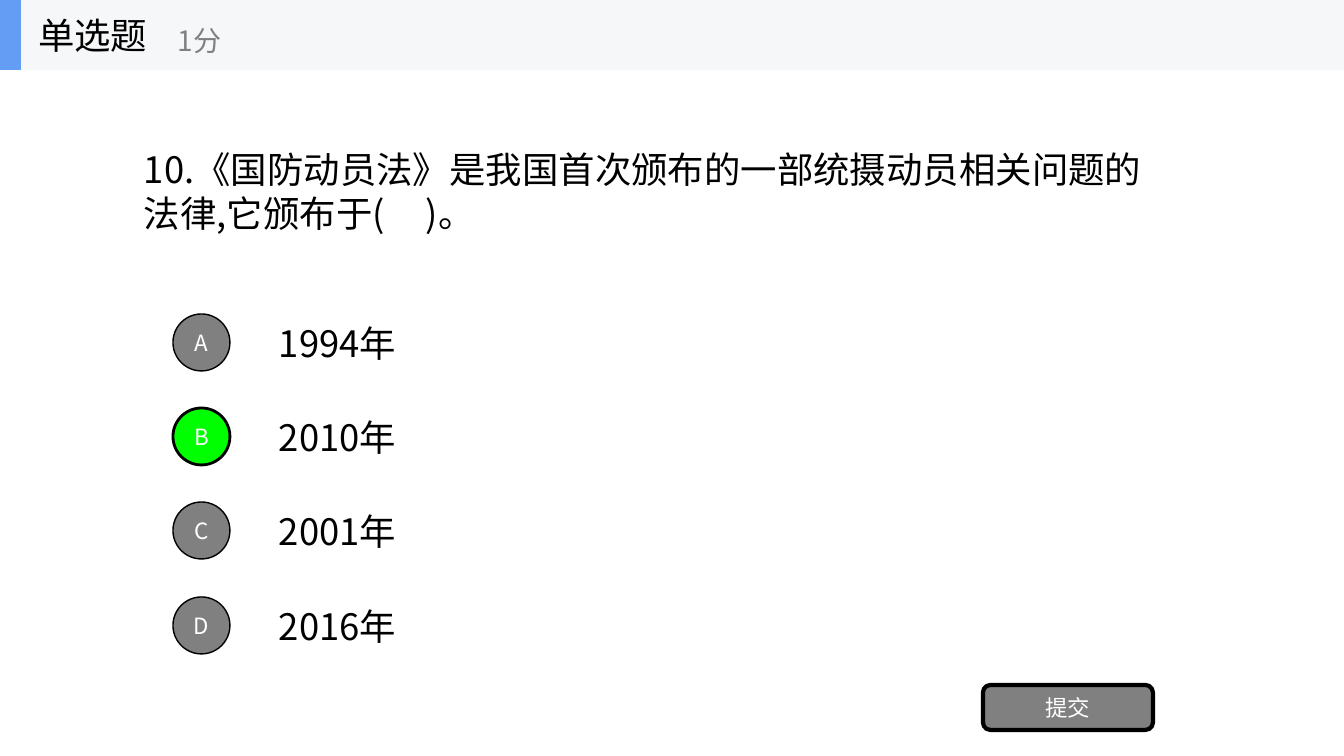
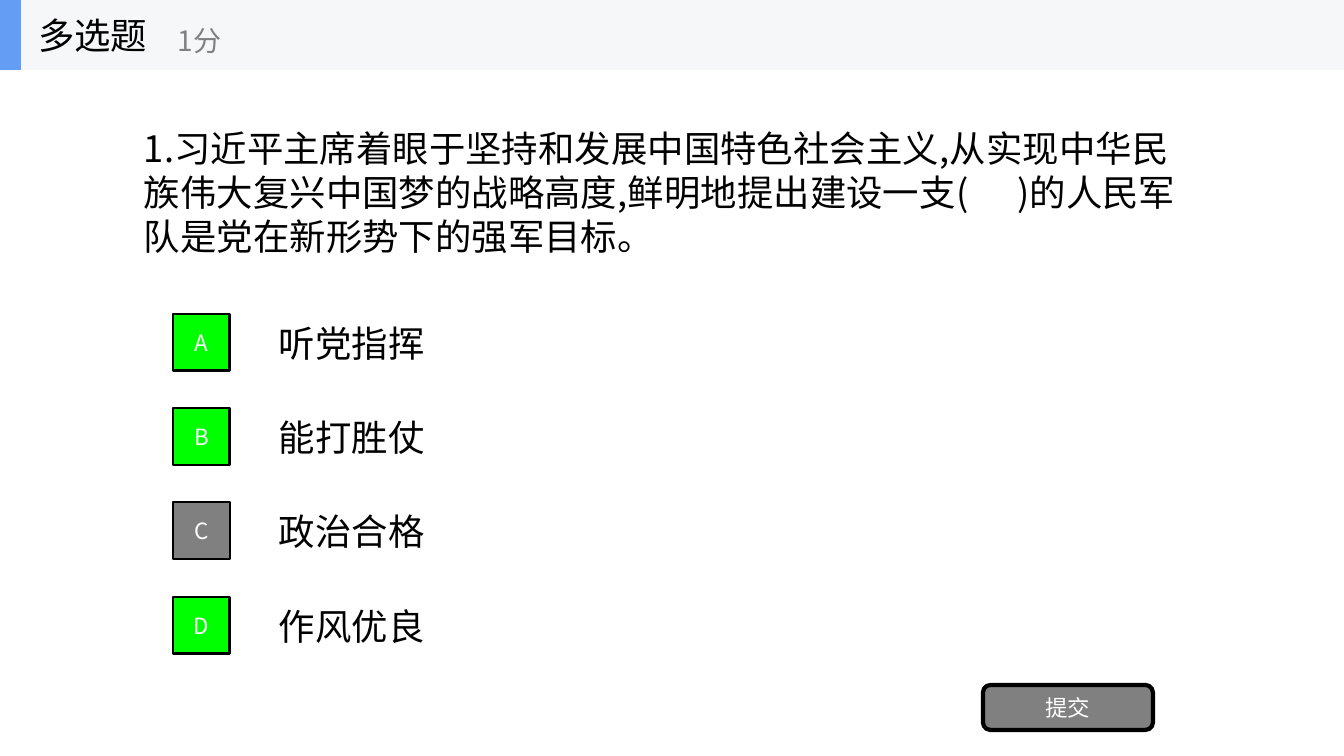
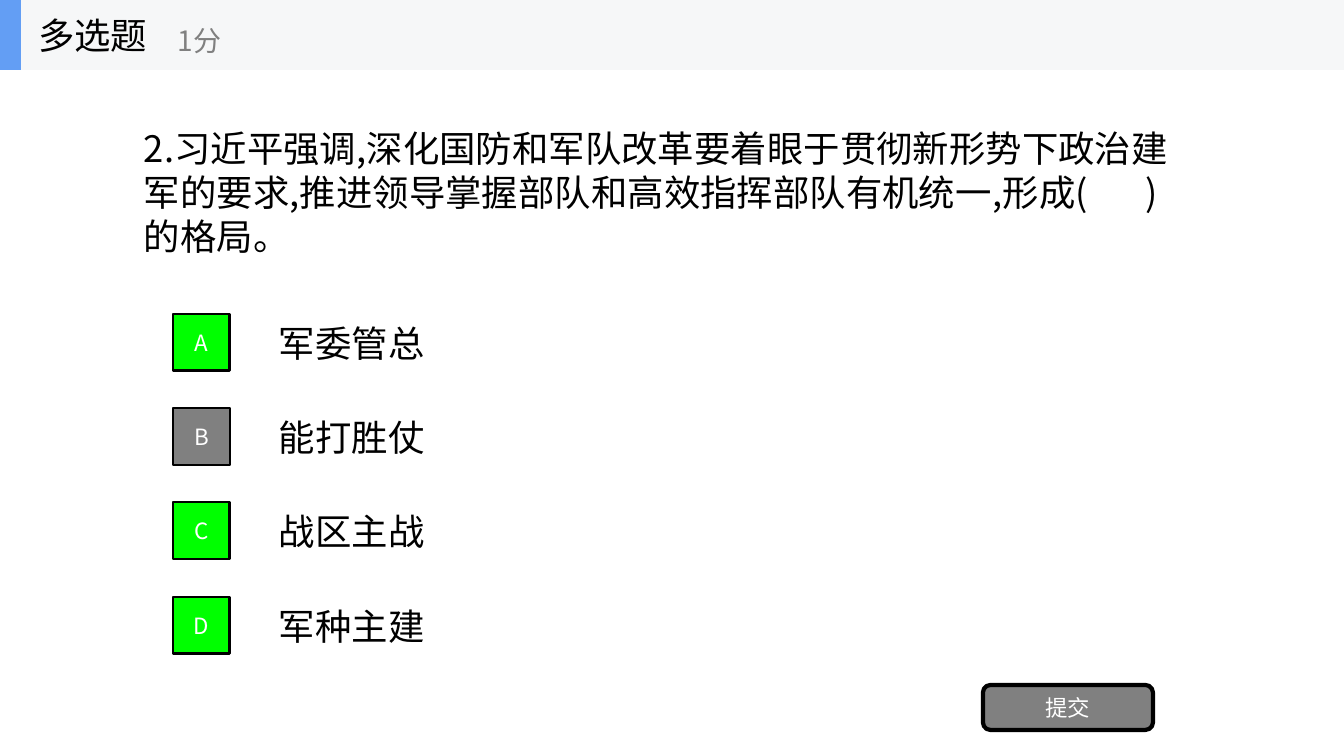
from lxml.etree import SubElement
from pptx import Presentation
from pptx.dml.color import RGBColor
from pptx.enum.shapes import MSO_SHAPE as Shape
from pptx.enum.text import MSO_ANCHOR as Anchor, MSO_AUTO_SIZE as Fit, PP_ALIGN as Align
from pptx.oxml.ns import qn
from pptx.util import Pt

SCALE = 914400 / 100.8
FONT = "Noto Sans CJK SC"
BLACK, WHITE, GREY = "000000", "FFFFFF", "808080"
GREEN, BLUE, PALE = "00FF00", "639EF4", "F6F7F8"
NB = "\u00a0"

QUIZ = [
    dict(kind="单选题", mark=Shape.OVAL, right="B", box=(134, 139, 1054, 98), wide=153,
         ask=f"10.《国防动员法》是我国首次颁布的一部统摄动员相关问题的法律,它颁布于( {NB * 3} )。",
         picks=["1994年", "2010年", "2001年", "2016年"]),
    dict(kind="多选题", mark=Shape.RECTANGLE, right="ABD", box=(134, 118, 1064, 141), wide=176,
         ask="1.习近平主席着眼于坚持和发展中国特色社会主义,从实现中华民族伟大复兴中国梦的战略高度,"
             f"鲜明地提出建设一支({NB * 2}  {NB * 2})的人民军队是党在新形势下的强军目标。",
         picks=["听党指挥", "能打胜仗", "政治合格", "作风优良"]),
    dict(kind="多选题", mark=Shape.RECTANGLE, right="ACD", box=(134, 118, 1047, 141), wide=176,
         ask="2.习近平强调,深化国防和军队改革要着眼于贯彻新形势下政治建军的要求,"
             f"推进领导掌握部队和高效指挥部队有机统一,形成({NB * 2} {NB * 3} )的格局。",
         picks=["军委管总", "能打胜仗", "战区主战", "军种主建"]),
]


def px(*sizes):
    """Turn pixels into a list of EMU lengths."""
    return [round(size * SCALE) for size in sizes]


def paint(fmt, tone):
    """Give a fill or a line a solid colour."""
    fmt.solid()
    fmt.fore_color.rgb = RGBColor.from_string(tone)


def write(shape, text, size, tone=BLACK, align=Align.LEFT, pitch=None):
    """Set and format the text of a shape."""
    frame = shape.text_frame
    frame.text = text
    frame.word_wrap = True
    frame.auto_size = Fit.NONE
    frame.vertical_anchor = Anchor.MIDDLE
    para = frame.paragraphs[0]
    para.alignment = align
    if pitch:
        para.line_spacing = Pt(pitch)
    for run in para.runs:
        font = run.font
        font.size = Pt(size)
        font.name = FONT
        paint(font.fill, tone)
        SubElement(font._element, qn("a:ea"), typeface=FONT)


def label(slide, box, text, size, tone=BLACK, pitch=None):
    """Add a text box."""
    write(slide.shapes.add_textbox(*px(*box)), text, size, tone, pitch=pitch)


def block(slide, kind, box, fill, line=0, text=""):
    """Add a filled shape, with an outline and a caption if given."""
    shape = slide.shapes.add_shape(kind, *px(*box))
    shape.shadow.inherit = False
    paint(shape.fill, fill)
    if line:
        shape.line.width = Pt(line)
        paint(shape.line.fill, BLACK)
    else:
        shape.line.fill.background()
    if text:
        write(shape, text, 16, WHITE, Align.CENTER)
    return shape


def header(slide, kind):
    """Draw the top band with the title and the score."""
    title = slide.shapes.title
    for wide, tone in ((1344, PALE), (21, BLUE)):
        band = block(slide, Shape.RECTANGLE, (0, 0, wide, 70), tone)
        title.element.addprevious(band.element)
    title.left, title.top, title.width, title.height = px(28, 0, 210, 70)
    write(title, kind, 26)
    label(slide, (168, 12, 252, 56), "1分", 20, GREY)


def choices(slide, quiz):
    """Draw the lettered options, with the right ones in green."""
    for row, (mark, text) in enumerate(zip("ABCD", quiz["picks"])):
        top = 314 + 283 * row // 3
        fill, line = (GREEN, 2) if mark in quiz["right"] else (GREY, 1)
        block(slide, quiz["mark"], (173, top, 57, 57), fill, line, mark)
        label(slide, (269, top + 2, quiz["wide"], 53), text, 26)


def main():
    """Build the quiz slides."""
    deck = Presentation()
    deck.slide_width, deck.slide_height = px(1344, 756)
    for quiz in QUIZ:
        slide = deck.slides.add_slide(deck.slide_layouts[5])
        header(slide, quiz["kind"])
        left, top, wide, high = quiz["box"]
        label(slide, (left, top + 3, wide, high), quiz["ask"], 26, pitch=31.4)
        choices(slide, quiz)
        block(slide, Shape.ROUNDED_RECTANGLE, (983, 685, 170, 45), GREY, 3, "提交")
    deck.save("out.pptx")


main()
